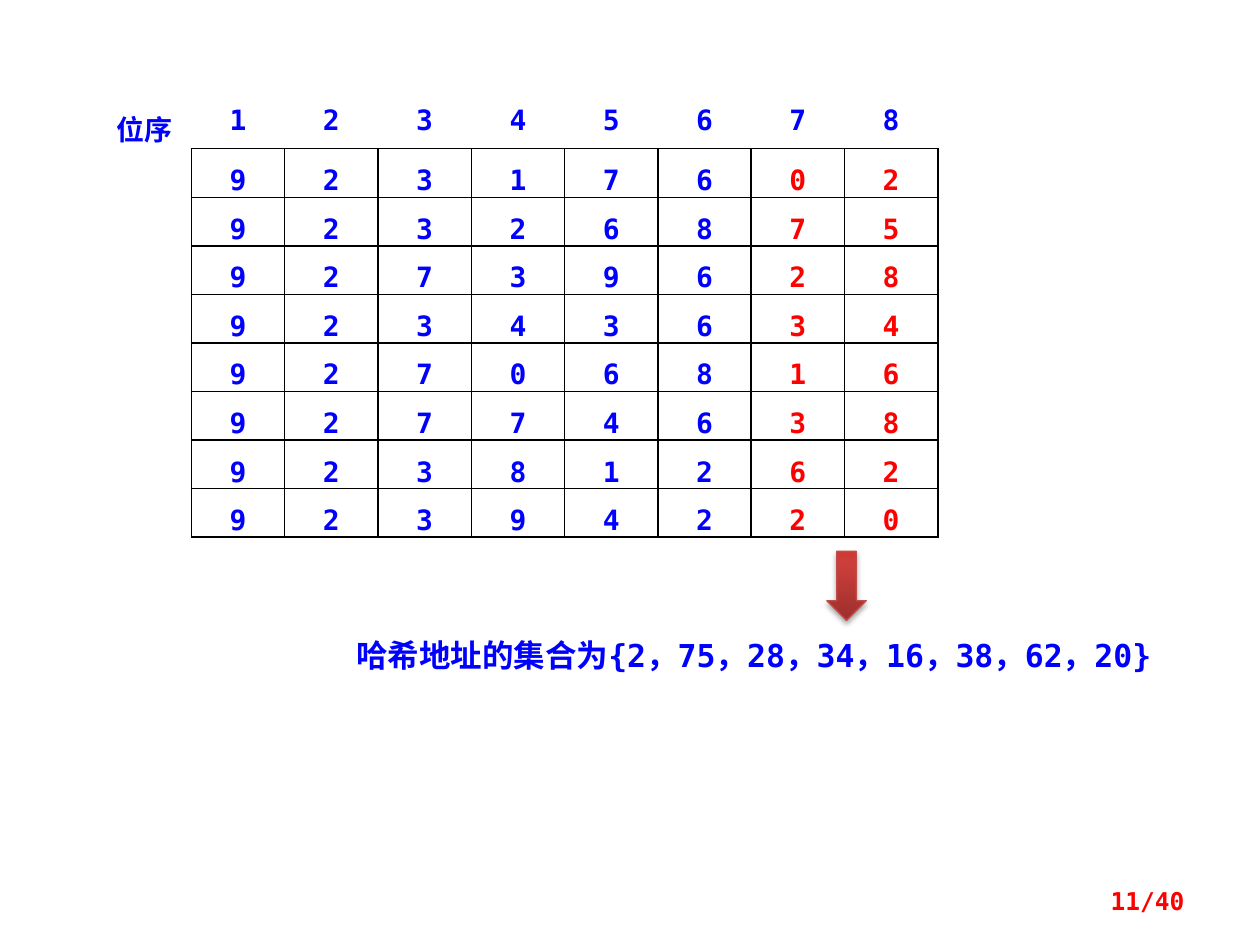
import pptx
import pptx.dml.color
import pptx.enum.shapes
import pptx.enum.text
import pptx.oxml
import pptx.oxml.ns
import pptx.util
import lxml.etree

Pt = pptx.util.Pt
qn = pptx.oxml.ns.qn
ALIGN = pptx.enum.text.PP_ALIGN

COLORS = {
    "key": "0000FF", "hash": "FF0000", "grid": "000000",
    "arrow_dark": "9C2F2D", "arrow_mid": "CB3E3A",
    "arrow_light": "CE3B37", "arrow_edge": "BF4C48",
}
MONO, CHINESE = "DejaVu Sans Mono", "Noto Sans CJK SC"

KEYS = ["92317602", "92326875", "92739628", "92343634",
        "92706816", "92774638", "92381262", "92394220"]
HASH_DIGITS = 2
ADDRESSES = [int(key[-HASH_DIGITS:]) for key in KEYS]


def rgb(name):
    return pptx.dml.color.RGBColor.from_string(COLORS[name])


def add_color(parent, name, alpha=None):
    color = lxml.etree.SubElement(parent, qn("a:srgbClr"), val=COLORS[name])
    if alpha is not None:
        lxml.etree.SubElement(color, qn("a:alpha"), val=str(alpha * 1000))


class Deck:
    """Holds the text style and the current slide."""

    def __init__(self):
        self.prs = pptx.Presentation()
        self.prs.slide_width, self.prs.slide_height = Pt(720), Pt(540)
        self.slide = self.prs.slides.add_slide(self.prs.slide_layouts[6])

    def style_text(self, paragraph, text, size, color, align, face=MONO):
        paragraph.text = text
        paragraph.alignment = align
        font = paragraph.font
        font.name, font.size, font.bold = face, Pt(size), True
        font.color.rgb = rgb(color)
        # The renderer reads the East Asian face from the run
        for run in paragraph.runs:
            lxml.etree.SubElement(run.font._element, qn("a:ea"), typeface=face)

    def text(self, box, text, size, color, align=ALIGN.LEFT,
             anchor=pptx.enum.text.MSO_ANCHOR.TOP):
        frame = self.slide.shapes.add_textbox(*map(Pt, box)).text_frame
        frame.word_wrap = True
        frame.vertical_anchor = anchor
        self.style_text(frame.paragraphs[0], text, size, color, align)

    def borders(self, cell, sides):
        props = cell._tc.get_or_add_tcPr()
        for side in "LRTB":
            line = lxml.etree.SubElement(props, qn("a:ln" + side), w=str(Pt(1)))
            if side in sides:
                add_color(lxml.etree.SubElement(line, qn("a:solidFill")), "grid")
            else:
                lxml.etree.SubElement(line, qn("a:noFill"))

    def digit_table(self, box, rows, size):
        row_count, column_count = len(rows), len(rows[0])
        table = self.slide.shapes.add_table(
            row_count, column_count, *map(Pt, box)).table
        table.first_row = table.horz_banding = False
        for r, row in enumerate(rows):
            for c, value in enumerate(row):
                cell = table.cell(r, c)
                cell.margin_left = cell.margin_right = Pt(5)
                cell.margin_top = cell.margin_bottom = 0
                # Only the key digits are boxed in
                if r and c:
                    sides = "LRTB"
                else:
                    sides = "B" if c else "R" if r else ""
                self.borders(cell, sides)
                cell.fill.background()
                if not value:
                    continue
                is_hash = r and c >= column_count - HASH_DIGITS
                paragraph = cell.text_frame.paragraphs[0]
                paragraph.line_spacing = 1.5
                self.style_text(paragraph, value, size,
                                "hash" if is_hash else "key",
                                ALIGN.CENTER, MONO if c else CHINESE)

    def down_arrow(self, box):
        arrow = self.slide.shapes.add_shape(
            pptx.enum.shapes.MSO_SHAPE.DOWN_ARROW, *map(Pt, box))
        arrow.line.color.rgb = rgb("arrow_edge")
        arrow.line.width = Pt(0.75)
        # Three-stop gradient
        arrow.fill.gradient()
        arrow.fill.gradient_angle = 90
        stops = arrow._element.spPr.find(".//" + qn("a:gsLst"))
        for stop in list(stops):
            stops.remove(stop)
        for place, name in ((0, "arrow_dark"), (80, "arrow_mid"),
                            (100, "arrow_light")):
            add_color(lxml.etree.SubElement(
                stops, qn("a:gs"), pos=str(place * 1000)), name)
        # Soft shadow below
        arrow.shadow.inherit = False
        effects = arrow._element.spPr.find(qn("a:effectLst"))
        shadow = lxml.etree.SubElement(
            effects, qn("a:outerShdw"), blurRad=str(Pt(3.1)),
            dist=str(Pt(1.8)), dir="5400000", rotWithShape="0")
        add_color(shadow, "grid", 35)


def main():
    deck = Deck()

    # Keys, digit by digit, under their positions
    header = ["位序"] + [str(n + 1) for n in range(len(KEYS[0]))]
    deck.digit_table((56, 50.4, 480, 231),
                     [header] + [["", *key] for key in KEYS], 16)

    # Resulting hash addresses
    address_set = "，".join(map(str, ADDRESSES))
    deck.text((196.5, 360, 472.5, 29), "哈希地址的集合为{" + address_set + "}",
              18, "key")
    deck.down_arrow((472.5, 315, 22.5, 39.5))

    # Page number
    deck.text((516, 500.5, 168, 28.75), "11/40", 14, "hash", ALIGN.RIGHT,
              pptx.enum.text.MSO_ANCHOR.MIDDLE)

    deck.prs.save("out.pptx")


if __name__ == "__main__":
    main()
